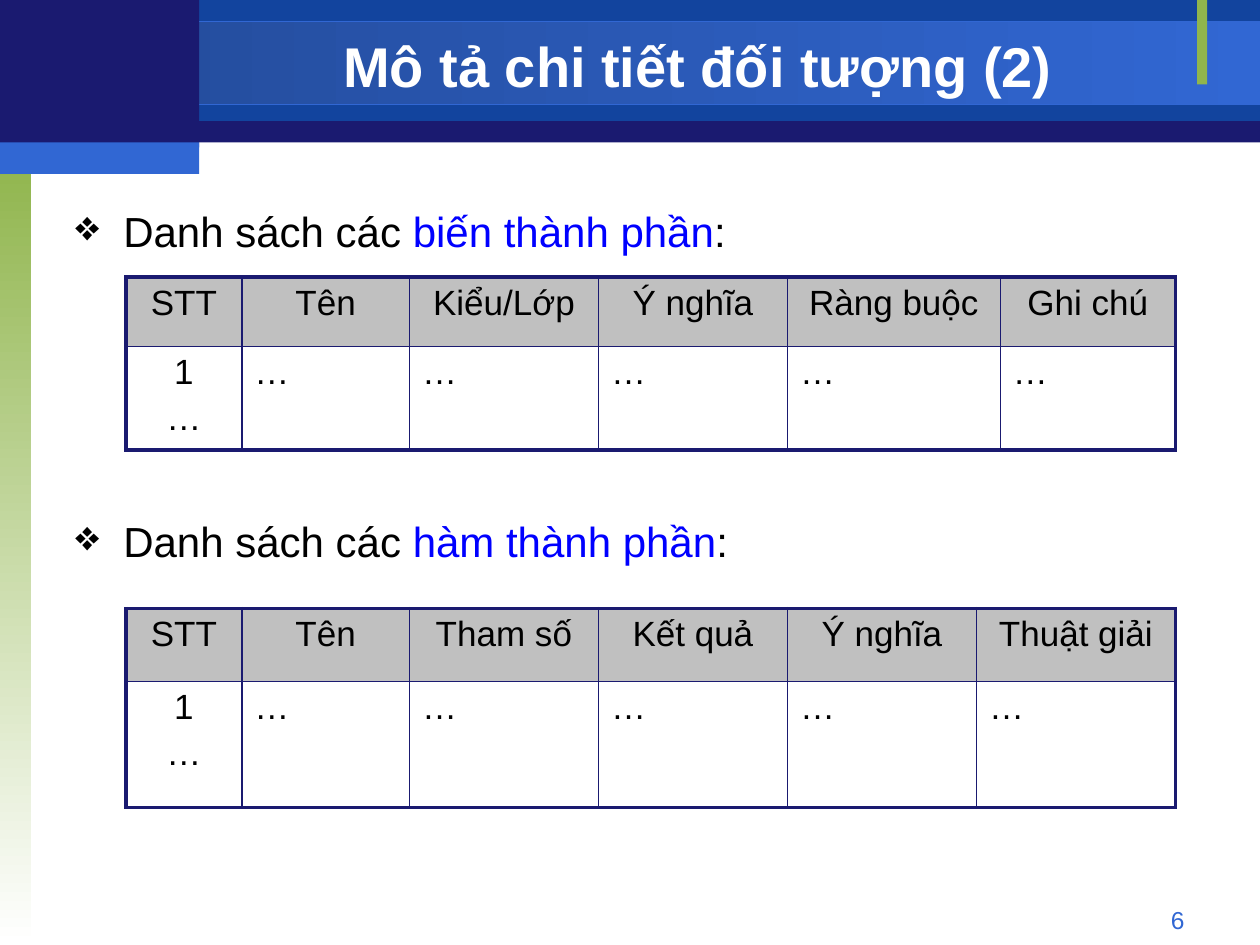
from lxml.etree import SubElement
from pptx import Presentation
from pptx.dml.color import RGBColor
from pptx.enum.shapes import MSO_SHAPE
from pptx.enum.text import MSO_ANCHOR, PP_ALIGN
from pptx.oxml.ns import qn
from pptx.util import Inches, Pt

NAVY = RGBColor(0x1A, 0x1A, 0x70)
DEEP_BLUE = RGBColor(0x12, 0x44, 0x9E)
BAND_BLUE = RGBColor(0x23, 0x4A, 0x97)
BRIGHT_BLUE = RGBColor(0x31, 0x67, 0xD3)
GREEN = RGBColor(0x90, 0xB5, 0x4D)
GREY = RGBColor(0xC0, 0xC0, 0xC0)
TERM_BLUE = RGBColor(0x00, 0x00, 0xFF)
BLACK = RGBColor(0x00, 0x00, 0x00)
WHITE = RGBColor(0xFF, 0xFF, 0xFF)

WIDTH, HEIGHT = 10, 7.5
SIDE = 1.58  # width of the dark corner block
THIN, THICK = 1, 2.25
MARGIN = 0.5
CONTENT_WIDTH = 8.92
TABLE_LEFT = 2 * MARGIN


def add_block(slide, left, top, width, height, *colors, angle=0, outline=None):
    """Rectangle with a plain fill, or a gradient when two colours are given."""
    block = slide.shapes.add_shape(
        MSO_SHAPE.RECTANGLE, Inches(left), Inches(top), Inches(width), Inches(height))
    block.shadow.inherit = False
    if len(colors) == 1:
        block.fill.solid()
        block.fill.fore_color.rgb = colors[0]
    else:
        block.fill.gradient()
        block.fill.gradient_angle = angle
        for stop, color in zip(block.fill.gradient_stops, colors):
            stop.color.rgb = color
    if outline is None:
        block.line.fill.background()
    else:
        block.line.color.rgb = outline
        block.line.width = Pt(0.75)


def add_run(paragraph, text, size, color, bold=False):
    run = paragraph.add_run()
    run.text = text
    run.font.name = "Arial"
    run.font.size = Pt(size)
    run.font.bold = bold
    run.font.color.rgb = color


def add_text(slide, left, top, width, height, align, anchor=MSO_ANCHOR.TOP):
    """Empty wrapped text box; returns its first paragraph."""
    frame = slide.shapes.add_textbox(
        Inches(left), Inches(top), Inches(width), Inches(height)).text_frame
    frame.word_wrap = True
    frame.vertical_anchor = anchor
    paragraph = frame.paragraphs[0]
    paragraph.alignment = align
    return paragraph


def add_heading(slide, top, term, line_spacing):
    heading = add_text(slide, MARGIN, top, CONTENT_WIDTH, 0.67, PP_ALIGN.JUSTIFY)
    heading.line_spacing = line_spacing
    heading.space_before = Pt(4.8)
    properties = heading._p.get_or_add_pPr()
    properties.set("marL", str(Inches(0.38)))
    properties.set("indent", str(-Inches(0.38)))
    SubElement(properties, qn("a:buChar"), char="❖")
    for text, color in (("Danh sách các ", BLACK), (term, TERM_BLUE), (":", BLACK)):
        add_run(heading, text, 24, color)


def set_borders(cell, **widths):
    properties = cell._tc.get_or_add_tcPr()
    for side in "LRTB":
        line = SubElement(properties, qn(f"a:ln{side}"), w=str(Pt(widths[side])))
        fill = SubElement(line, qn("a:solidFill"))
        SubElement(fill, qn("a:srgbClr"), val=str(NAVY))


def fill_cell(cell, lines, align):
    for index, text in enumerate(lines):
        frame = cell.text_frame
        paragraph = frame.add_paragraph() if index else frame.paragraphs[0]
        paragraph.alignment = align
        paragraph.space_before = Pt(4)
        add_run(paragraph, text, 20, BLACK)


def add_member_table(slide, top, headers, widths, heights):
    """Grey header row over one sample row, with a thick outer frame."""
    table = slide.shapes.add_table(
        len(heights), len(widths), Inches(TABLE_LEFT), Inches(top),
        Inches(sum(widths)), Inches(sum(heights))).table
    for column, width in zip(table.columns, widths):
        column.width = Inches(width)
    for row, height in zip(table.rows, heights):
        row.height = Inches(height)

    last_row, last_column = len(heights) - 1, len(widths) - 1
    for r in range(len(heights)):
        for c, header in enumerate(headers):
            cell = table.cell(r, c)
            set_borders(cell,
                        L=THICK if c == 0 else THIN,
                        R=THICK if c == last_column else THIN,
                        T=THICK if r == 0 else THIN,
                        B=THICK if r == last_row else THIN)
            if r == 0:
                cell.fill.solid()
                cell.fill.fore_color.rgb = GREY
                fill_cell(cell, [header], PP_ALIGN.CENTER)
            else:
                cell.fill.background()
                if c == 0:
                    fill_cell(cell, ["1", "…"], PP_ALIGN.CENTER)
                else:
                    fill_cell(cell, ["…"], PP_ALIGN.LEFT)


def add_frame(slide):
    """Banner across the top and the fading strip down the left."""
    add_block(slide, 0, 0.01, WIDTH, 1.12, NAVY)
    add_block(slide, SIDE, 0, WIDTH - SIDE, 0.96, DEEP_BLUE)
    add_block(slide, 0, 0.17, WIDTH, 0.66, BAND_BLUE, BRIGHT_BLUE, outline=BRIGHT_BLUE)
    add_block(slide, 0, 1.25, 0.25, HEIGHT - 1.25, GREEN, WHITE, angle=270)
    add_block(slide, WIDTH - MARGIN, 0, 0.08, 0.67, GREEN)
    add_block(slide, 0, 0, SIDE, 1.17, NAVY)
    add_block(slide, 0, 1.13, SIDE, 0.25, BRIGHT_BLUE)


def main():
    deck = Presentation()
    deck.slide_width, deck.slide_height = Inches(WIDTH), Inches(HEIGHT)
    slide = deck.slides.add_slide(deck.slide_layouts[6])

    add_frame(slide)
    page_number = add_text(slide, 7.17, 7.13, 2.33, 0.27, PP_ALIGN.RIGHT)
    add_run(page_number, "6", 14, BRIGHT_BLUE)
    title = add_text(slide, SIDE, 0.23, WIDTH - MARGIN - SIDE, 0.58,
                     PP_ALIGN.CENTER, MSO_ANCHOR.MIDDLE)
    add_run(title, "Mô tả chi tiết đối tượng (2)", 32, WHITE, bold=True)

    add_heading(slide, 1.5, "biến thành phần", 1.2)
    add_member_table(
        slide, 2.2,
        ["STT", "Tên", "Kiểu/Lớp", "Ý nghĩa", "Ràng buộc", "Ghi chú"],
        [0.92, 1.33, 1.5, 1.5, 1.69, 1.39], [0.55, 0.75])

    add_heading(slide, 4, "hàm thành phần", 1.1)
    add_member_table(
        slide, 4.83,
        ["STT", "Tên", "Tham số", "Kết quả", "Ý nghĩa", "Thuật giải"],
        [0.92, 1.33, 1.5, 1.5, 1.5, 1.58], [0.58, 1])

    deck.save("out.pptx")


if __name__ == "__main__":
    main()
